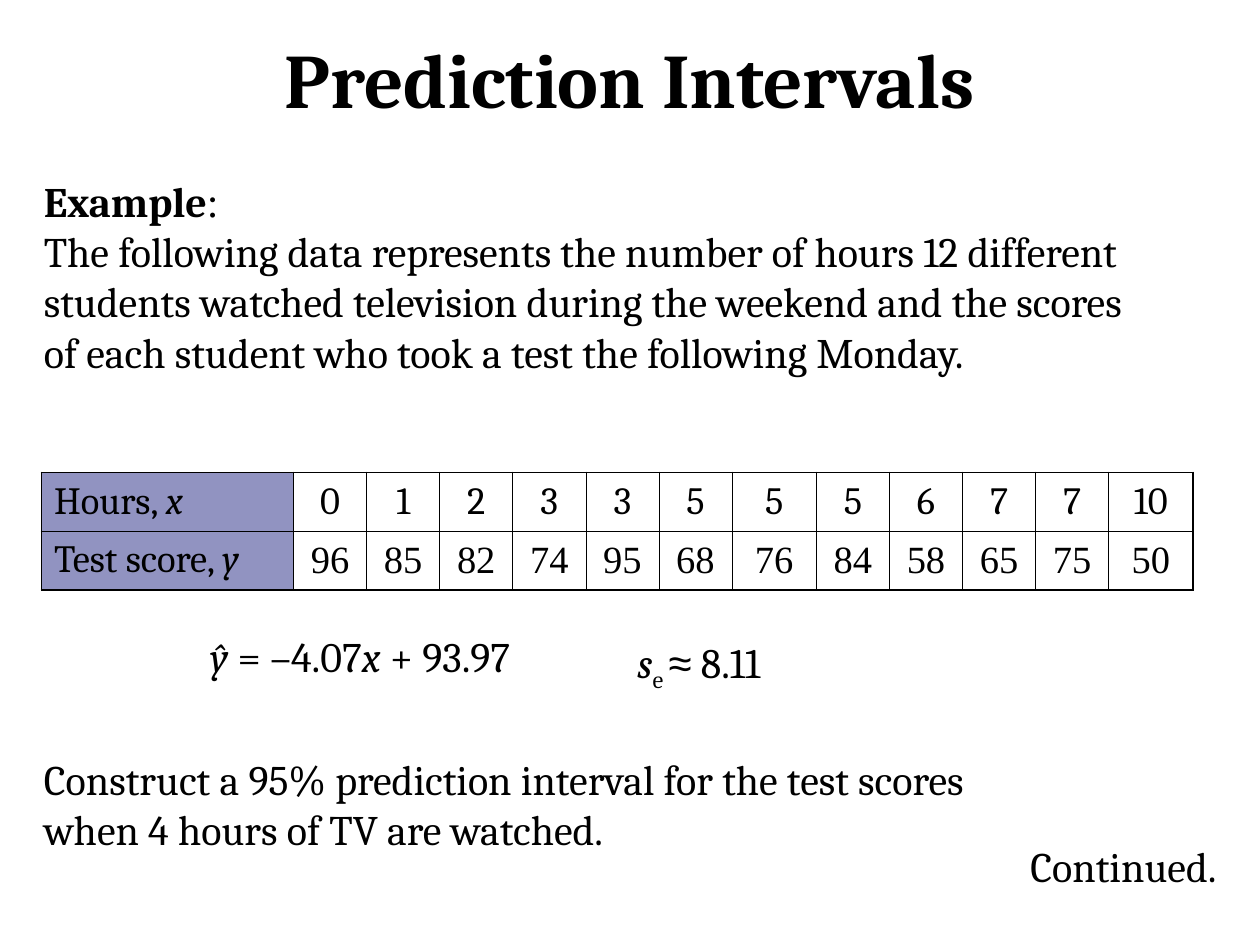
from lxml.etree import SubElement
from pptx import Presentation
from pptx.dml.color import RGBColor
from pptx.enum.text import MSO_ANCHOR, MSO_AUTO_SIZE, PP_ALIGN
from pptx.oxml import parse_xml
from pptx.oxml.ns import nsdecls, qn
from pptx.util import Inches, Pt

COLORS = {"text": "000000", "border": "000000", "label": "242985"}
SERIF, NUMERIC, SYMBOL = "Cambria", "Times New Roman", "Arial"
THIN, THICK = 0.45, 1.08


class SlideBuilder:
    """Holds the text style and the slide being built."""

    def __init__(self, slide, size=24):
        self.slide = slide
        self.size = size

    def runs(self, paragraph, parts, size=None, font=SERIF):
        """Each part is (text, options): bold, italic, font, baseline."""
        for text, options in parts:
            run = paragraph.add_run()
            run.text = text
            run.font.name = options.get("font", font)
            run.font.size = Pt(size or self.size)
            run.font.bold = options.get("bold", False)
            run.font.italic = options.get("italic", False)
            run.font.color.rgb = RGBColor.from_string(COLORS["text"])
            if "baseline" in options:
                run.font._element.set("baseline", str(options["baseline"]))

    def text(self, box, paragraphs, size=None, wrap=True, line_spacing=None):
        shape = self.slide.shapes.add_textbox(*map(Inches, box))
        frame = shape.text_frame
        frame.word_wrap = wrap
        frame.auto_size = MSO_AUTO_SIZE.SHAPE_TO_FIT_TEXT
        for i, parts in enumerate(paragraphs):
            paragraph = frame.add_paragraph() if i else frame.paragraphs[0]
            if line_spacing:
                paragraph.line_spacing = line_spacing
            self.runs(paragraph, parts, size)
        return frame

    def title(self, box, text):
        frame = self.text(box, [[(text, {"bold": True})]], size=44)
        frame.auto_size = MSO_AUTO_SIZE.NONE
        frame.vertical_anchor = MSO_ANCHOR.MIDDLE
        frame.paragraphs[0].alignment = PP_ALIGN.CENTER

    def borders(self, cell, widths):
        """Widths run left, right, top, bottom."""
        properties = cell._tc.get_or_add_tcPr()
        for i, (side, width) in enumerate(zip("LRTB", widths)):
            properties.insert(i, parse_xml(
                f'<a:ln{side} {nsdecls("a")} w="{Pt(width)}"><a:solidFill>'
                f'<a:srgbClr val="{COLORS["border"]}"/></a:solidFill></a:ln{side}>'))

    def table(self, box, rows, column_widths, size=22):
        table = self.slide.shapes.add_table(
            len(rows), len(column_widths), *map(Inches, box)).table
        table.first_row = table.horz_banding = False
        for column, width in zip(table.columns, column_widths):
            column.width = Inches(width)
        last_row, last_column = len(rows) - 1, len(column_widths) - 1
        for r, (label, symbol, values, font) in enumerate(rows):
            for c in range(last_column + 1):
                cell = table.cell(r, c)
                cell.vertical_anchor = MSO_ANCHOR.MIDDLE
                paragraph = cell.text_frame.paragraphs[0]
                if c == 0:
                    self.runs(paragraph, [(label, {}), (symbol, {"italic": True})], size)
                    cell.fill.solid()
                    cell.fill.fore_color.rgb = RGBColor.from_string(COLORS["label"])
                    color = cell._tc.tcPr.find(".//" + qn("a:srgbClr"))
                    SubElement(color, qn("a:alpha")).set("val", "50000")
                else:
                    paragraph.alignment = PP_ALIGN.CENTER
                    self.runs(paragraph, [(str(values[c - 1]), {})], size, font)
                    cell.fill.background()
                outer = (c == 0, c == last_column, r == 0, r == last_row)
                self.borders(cell, [THICK if edge else THIN for edge in outer])


def main():
    prs = Presentation()
    prs.slide_width, prs.slide_height = Inches(10), Inches(7.5)
    page = SlideBuilder(prs.slides.add_slide(prs.slide_layouts[6]))
    italic = {"italic": True}

    page.title((0, 0.08, 10, 1.08), "Prediction Intervals")

    # Hours of television and test scores
    hours = [0, 1, 2, 3, 3, 5, 5, 5, 6, 7, 7, 10]
    scores = [96, 85, 82, 74, 95, 68, 76, 84, 58, 65, 75, 50]
    widths = [2] + [0.67 if c in (7, 12) else 0.58 for c in range(1, 13)]
    page.table((0.33, 3.75, sum(widths), 0.93),
               [("Hours, ", "x", hours, SERIF),
                ("Test score, ", "y", scores, NUMERIC)], widths)

    # Example and question
    page.text((0.25, 1.34, 9, 2.1), [
        [("Example", {"bold": True}), (":", {"font": NUMERIC})],
        [("The following data represents the number of hours 12 different "
          "students watched television during the weekend and the scores of "
          "each student who took a test the following Monday.", {})]])
    page.text((8.08, 6.62, 1.9, 0.5), [[("Continued.", {})]], wrap=False)
    page.text((0.25, 5.93, 8.31, 0.9), [
        [("Construct a 95% prediction interval for the test scores when "
          "4 hours of TV are watched.", {})]])

    # Regression line and standard error
    page.text((1.57, 5, 2.97, 0.46), [
        [("ŷ", italic), (" = –4.07", {}), ("x", italic), (" + 93.97", {})]],
        wrap=False, line_spacing=0.9)
    page.text((4.96, 5, 1.63, 0.56), [
        [("s", italic), ("e ", {"baseline": -25000}),
         ("≈", {"font": SYMBOL}), (" 8.11", {})]], wrap=False)

    prs.save("out.pptx")


if __name__ == "__main__":
    main()
